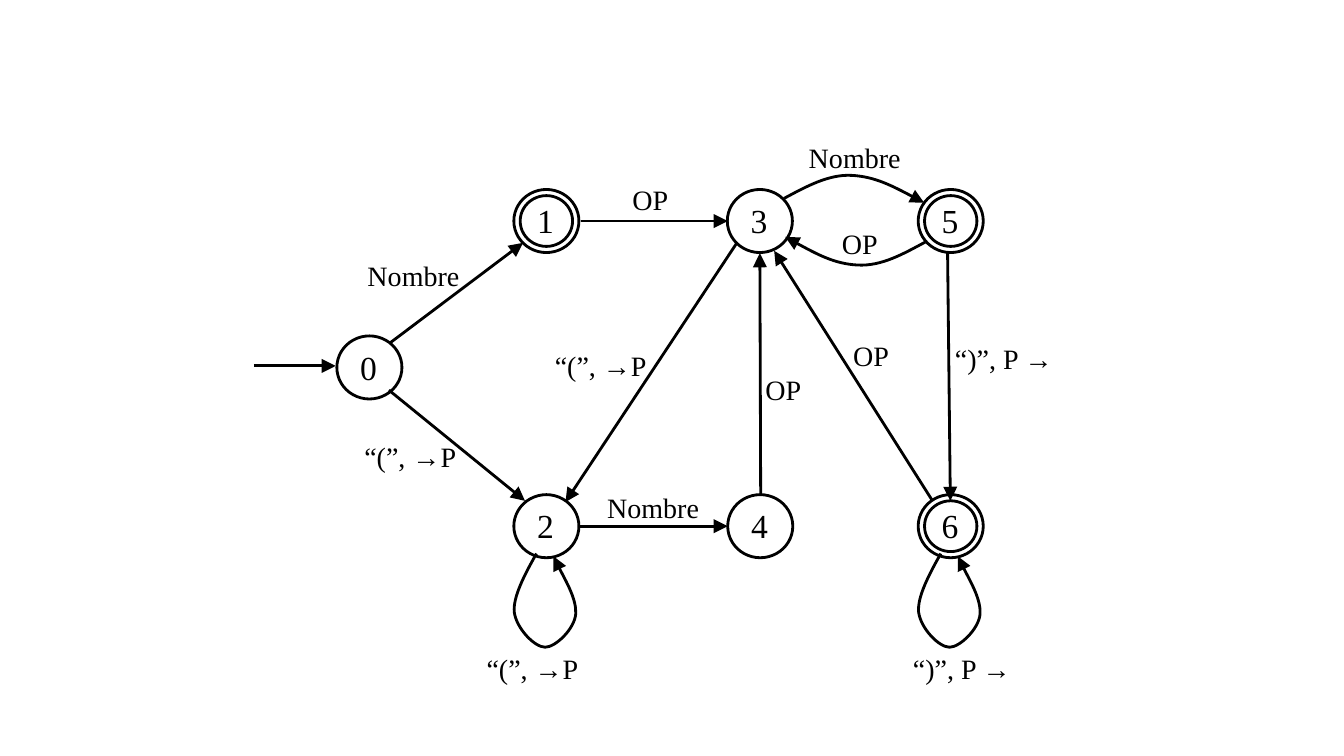
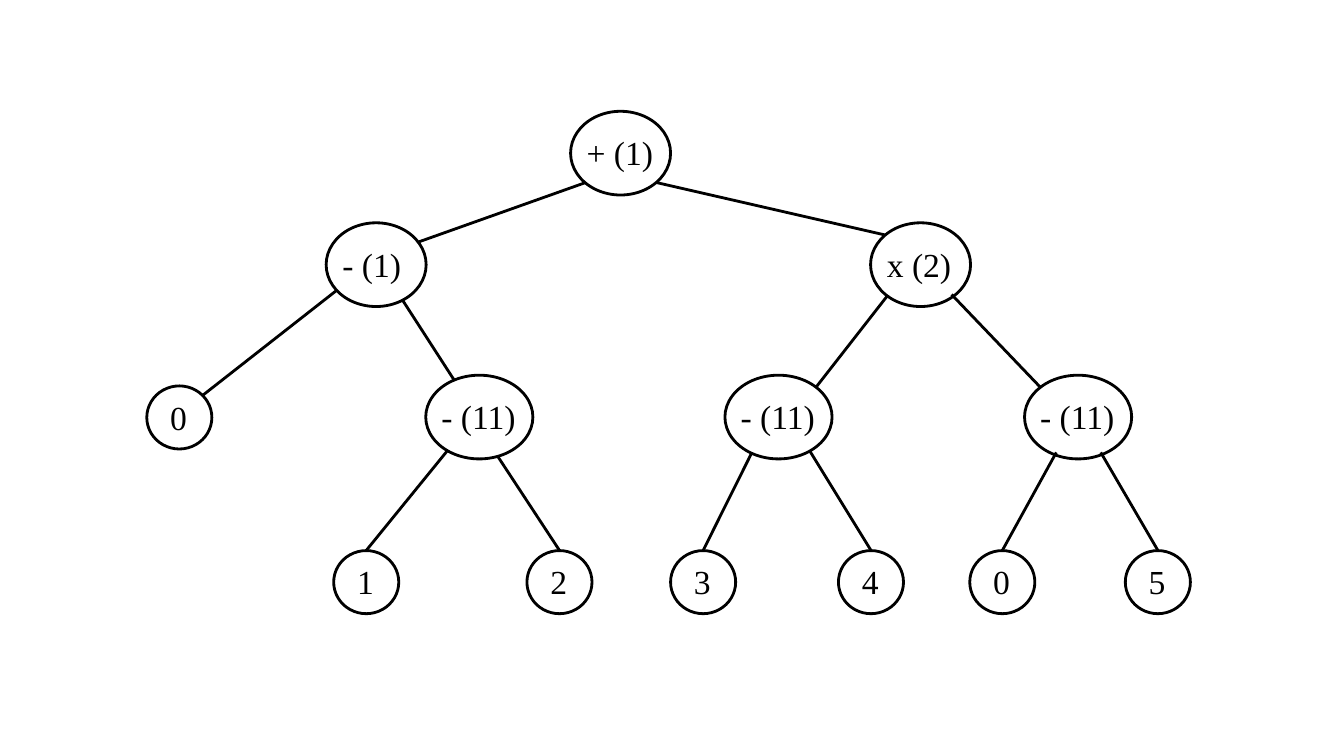
from lxml import etree
from pptx import Presentation
from pptx.dml.color import RGBColor
from pptx.enum import shapes, text
from pptx.oxml.ns import qn
from pptx.util import Cm, Pt

COLORS = {"ink": "000000", "background": "FFFFFF"}
INK = RGBColor.from_string(COLORS["ink"])
FONT = "Times New Roman"
LINE_WIDTH = Pt(2)
NODE_SIZE, LABEL_SIZE = 24, 20
CIRCLE, INNER_CIRCLE = (1.64, 1.59), (1.32, 1.28)
LABEL_BOX = (2.84, 1.12)


def add_text(slide, center, size, content, points, outlined=True, inset=0.04):
    """Centre a text on a point (cm), inside an ellipse if outlined."""
    box = [Cm(center[0] - size[0] / 2), Cm(center[1] - size[1] / 2), Cm(size[0]), Cm(size[1])]
    if outlined:
        shape = slide.shapes.add_shape(shapes.MSO_SHAPE.OVAL, *box)
        shape.shadow.inherit = False
        shape.fill.background()
        shape.line.color.rgb = INK
        shape.line.width = LINE_WIDTH
    else:
        shape = slide.shapes.add_textbox(*box)
    if not content:
        return
    frame = shape.text_frame
    frame_format = {"margin_left": 0, "margin_top": 0, "margin_bottom": Cm(0.04),
                    "margin_right": Cm(inset), "word_wrap": False,
                    "vertical_anchor": text.MSO_ANCHOR.MIDDLE}
    for name, value in frame_format.items():
        setattr(frame, name, value)
    paragraph = frame.paragraphs[0]
    paragraph.alignment = text.PP_ALIGN.CENTER
    run = paragraph.add_run()
    run.text = content
    for name, value in {"name": FONT, "size": Pt(points)}.items():
        setattr(run.font, name, value)
    run.font.color.rgb = INK


def add_path(slide, points, arrow=False):
    """Draw a straight line (2 points) or a chain of cubic Bézier curves, in cm."""
    corners = [(Cm(x), Cm(y)) for x, y in points]
    if len(corners) == 2:
        shape = slide.shapes.add_connector(
            shapes.MSO_CONNECTOR.STRAIGHT, *corners[0], *corners[1])
    else:
        builder = slide.shapes.build_freeform(*corners[0])
        builder.add_line_segments(corners[1:], close=False)
        shape = builder.convert_to_shape()
        shape.fill.background()
        # Join every three line segments into one curve
        segments = list(shape.element.iter(qn("a:lnTo")))
        for first in range(0, len(segments), 3):
            curve = etree.Element(qn("a:cubicBezTo"))
            segments[first].addprevious(curve)
            for segment in segments[first:first + 3]:
                curve.append(segment[0])
                segment.getparent().remove(segment)
    shape.line.color.rgb = INK
    shape.line.width = LINE_WIDTH
    properties = shape.element.spPr
    etree.SubElement(properties, qn("a:effectLst"))
    if arrow:
        etree.SubElement(properties.find(qn("a:ln")), qn("a:tailEnd"),
                         type="triangle", w="lg", len="lg")


presentation = Presentation()
presentation.slide_width, presentation.slide_height = Cm(33.87), Cm(19.05)
background = presentation.slide_master.background.fill
background.solid()
background.fore_color.rgb = RGBColor.from_string(COLORS["background"])
blank = presentation.slide_layouts[6]

# Slide 1: state machine
slide = presentation.slides.add_slide(blank)
TOP, BOTTOM = 5.57, 13.26
states = {"0": (9.31, 9.26), "1": (13.77, TOP), "2": (13.77, BOTTOM), "3": (19.15, TOP),
          "4": (19.16, BOTTOM), "5": (23.96, TOP), "6": (23.96, BOTTOM)}
final_states = "156"
for name, center in states.items():
    add_text(slide, center, CIRCLE, name, NODE_SIZE)
    if name in final_states:
        add_text(slide, center, INNER_CIRCLE, "", NODE_SIZE)

# Transitions
transitions = [
    [(6.4, 9.22), (8.46, 9.22)],
    [(9.83, 8.64), (13.18, 6.12)],
    [(9.8, 9.83), (13.23, 12.62)],
    [(14.63, TOP), (18.34, TOP)],
    [(18.57, 6.12), (14.25, 12.65)],
    [(14.58, BOTTOM), (18.34, BOTTOM)],
    [(19.17, 12.47), (19.15, 6.38)],
    [(23.5, 12.62), (19.51, 6.32)],
    [(23.88, 6.38), (23.95, 12.62)],
    [(19.76, 5), (20.32, 4.7), (20.88, 4.39), (21.46, 4.42),
     (22.05, 4.45), (22.68, 4.78), (23.29, 5.11)],
    [(23.32, 6.1), (22.76, 6.4), (22.22, 6.71), (21.62, 6.68),
     (21.03, 6.65), (20.42, 6.32), (19.79, 5.97)],
]
# Loops, relative to the centre of their state
loop = [(-0.25, 0.69), (-0.56, 1.24), (-0.84, 1.78), (-0.81, 2.16), (-0.76, 2.57), (-0.3, 3.05),
        (-0.03, 3.05), (0.23, 3.05), (0.71, 2.59), (0.74, 2.21), (0.76, 1.83), (0.28, 0.99),
        (0.18, 0.76)]
for name in "26":
    x, y = states[name]
    transitions.append([(x + dx, y + dy) for dx, dy in loop])
for points in transitions:
    add_path(slide, points, arrow=True)

# Transition labels
labels = {
    "Nombre": [(10.44, 6.96), (16.48, 12.8), (21.56, 3.99)],
    "OP": [(16.41, 5.05), (21.69, 6.15), (21.97, 8.97), (19.76, 9.83)],
    "“(”, →P": [(15.16, 9.22), (13.44, 16.87), (10.36, 11.53)],
    "“)”, P →": [(24.26, 16.87), (25.32, 9.04)],
}
for label, centers in labels.items():
    for center in centers:
        add_text(slide, center, LABEL_BOX, label, LABEL_SIZE, outlined=False)

# Slide 2: expression tree
slide = presentation.slides.add_slide(blank)
OPERATOR, WIDE_OPERATOR = (2.52, 2.11), (2.7, 2.11)
LEAF_Y, LEAF_TOP = 14.67, 13.87
add_text(slide, (15.64, 3.86), OPERATOR, "+ (1)", NODE_SIZE)
add_text(slide, (9.48, 6.67), OPERATOR, "- (1)", NODE_SIZE, inset=0.22)
add_text(slide, (23.2, 6.67), OPERATOR, "x (2)", NODE_SIZE, inset=0.08)
add_text(slide, (4.52, 10.52), CIRCLE, "0", NODE_SIZE)
for x in (12.08, 19.62, 27.17):
    add_text(slide, (x, 10.51), WIDE_OPERATOR, "- (11)", NODE_SIZE)

# Leaves: number, centre, and the start of the branch above
leaves = [("1", 9.23, (11.28, 11.35)), ("2", 14.1, (12.55, 11.51)),
          ("3", 17.72, (18.95, 11.4)), ("4", 21.95, (20.4, 11.35)),
          ("0", 25.26, (26.62, 11.4)), ("5", 29.18, (27.74, 11.4))]
for number, x, branch_start in leaves:
    add_text(slide, (x, LEAF_Y), CIRCLE, number, NODE_SIZE)
    add_path(slide, [branch_start, (x, LEAF_TOP)])

# Branches between operators
branches = [
    [(14.76, 4.6), (10.54, 6.1)],
    [(16.54, 4.6), (22.3, 5.92)],
    [(8.48, 7.32), (5.11, 9.96)],
    [(10.13, 7.54), (11.46, 9.6)],
    [(22.35, 7.47), (20.57, 9.75)],
    [(23.98, 7.42), (26.21, 9.75)],
]
for points in branches:
    add_path(slide, points)

presentation.save("out.pptx")
